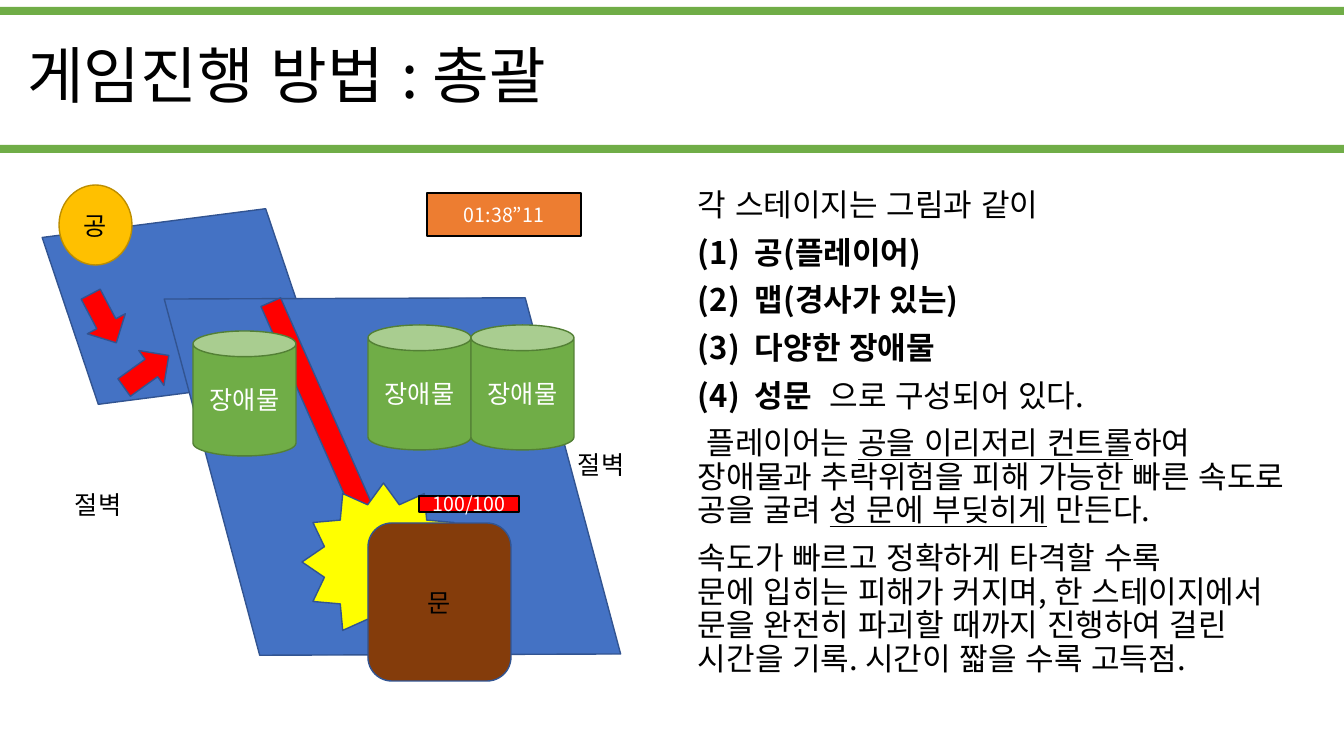
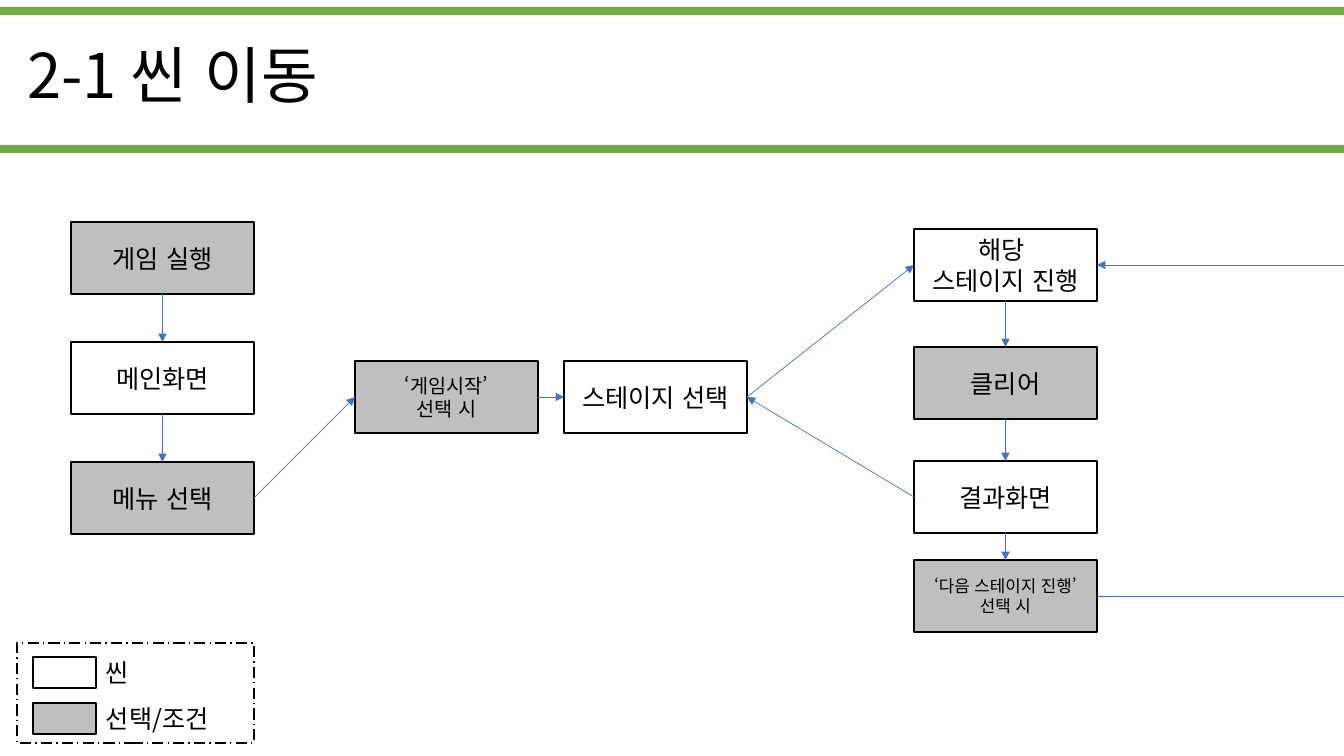
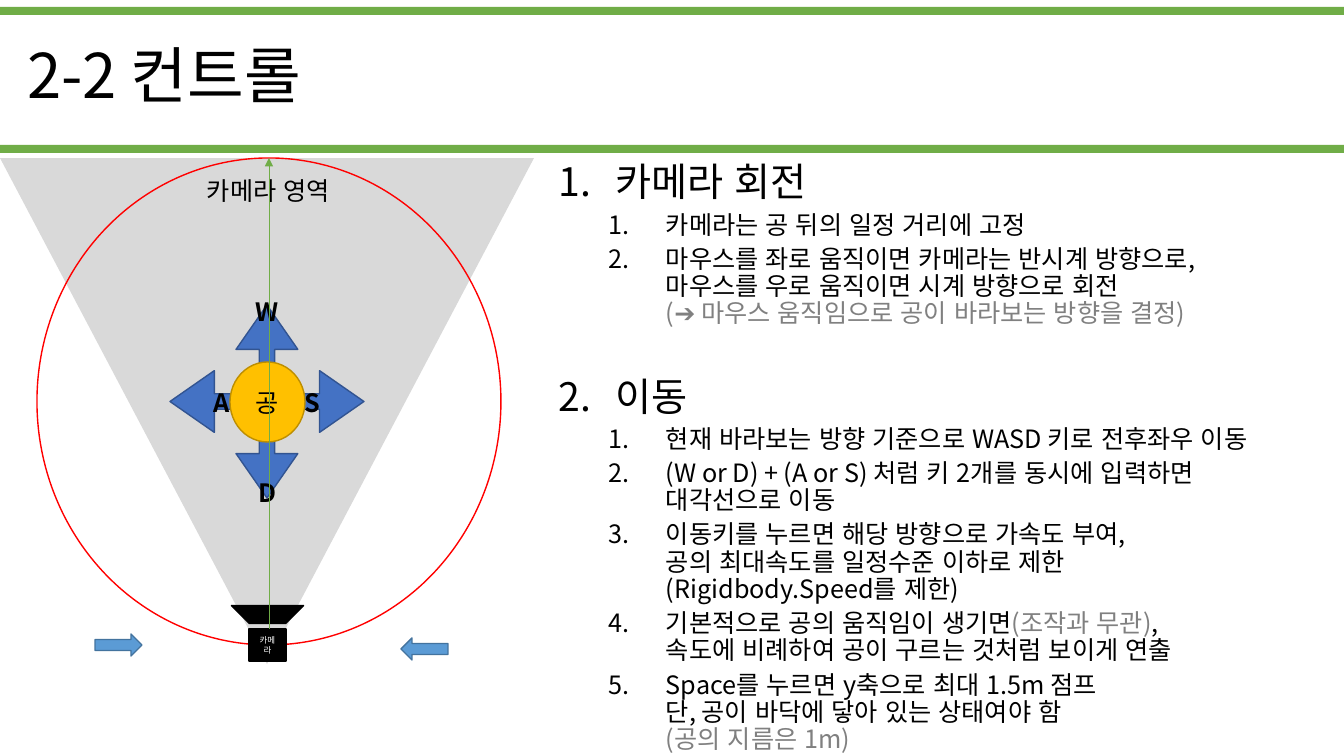
from copy import deepcopy

from lxml import etree
from pptx import Presentation
from pptx.dml.color import RGBColor
from pptx.enum.dml import MSO_LINE
from pptx.enum.lang import MSO_LANGUAGE_ID
from pptx.enum.shapes import MSO_CONNECTOR, MSO_SHAPE
from pptx.enum.text import MSO_ANCHOR, MSO_AUTO_SIZE, PP_ALIGN
from pptx.oxml.ns import qn
from pptx.util import Emu, Pt

PX = 12192000 / 1344
FONT = "Noto Sans CJK KR"
COLORS = {
    "ink": "000000", "white": "FFFFFF", "gray": "BFBFBF", "pale": "D9D9D9",
    "dim": "808080", "green": "70AD47", "moss": "538035", "blue": "4472C4",
    "navy": "325491", "gold": "FFC000", "ocher": "BD8E00", "red": "FF0000",
    "yellow": "FFFF00", "brown": "843C0B", "orange": "ED7D31",
    "sky": "5B9BD5", "steel": "43739E",
}
RECT, ROUND = MSO_SHAPE.RECTANGLE, MSO_SHAPE.ROUNDED_RECTANGLE
SLANT, BALL = MSO_SHAPE.FLOWCHART_DATA, MSO_SHAPE.FLOWCHART_CONNECTOR
RIGHT, LEFT = MSO_SHAPE.RIGHT_ARROW, MSO_SHAPE.LEFT_ARROW
QUAD, CAN, STAR = MSO_SHAPE.QUAD_ARROW, MSO_SHAPE.CAN, MSO_SHAPE.STAR_12_POINT
CONE, STRIPE = MSO_SHAPE.ISOSCELES_TRIANGLE, MSO_SHAPE.DIAGONAL_STRIPE
STRAIGHT = MSO_CONNECTOR.STRAIGHT
DASH = MSO_LINE.LONG_DASH_DOT
START, CENTER = PP_ALIGN.LEFT, PP_ALIGN.CENTER
TOP, MIDDLE = MSO_ANCHOR.TOP, MSO_ANCHOR.MIDDLE
FIXED = MSO_AUTO_SIZE.NONE
KOREAN = MSO_LANGUAGE_ID.KOREAN

PLAIN = {"level": 0, "left": 0, "num": None, "gap": 10, "size": 22.2}
LIST = PLAIN | {"left": 57, "num": "arabicParenBoth"}
HEAD = LIST | {"num": "arabicPeriod", "size": 28}
SUB = HEAD | {"level": 1, "left": 107, "gap": 5, "size": 18}


def px(size):
    """Turn px into EMU."""
    return Emu(round(size * PX))


def rgb(name):
    """Look up a colour by name."""
    return RGBColor.from_string(COLORS[name])


class Deck:
    """Hold the style and the current slide."""

    def __init__(self):
        """Start a deck of the shared size and layout."""
        self.prs = Presentation()
        self.prs.slide_width, self.prs.slide_height = px(1344), px(756)
        self.layout = self.prs.slide_layouts[5]
        self.slide = None

    def page(self, title):
        """Add a slide with its title; the first also sets the layout's bands."""
        first = self.slide is None
        self.slide = self.prs.slides.add_slide(self.layout)
        if first:
            for top in (7, 145):
                band = self.shape(RECT, (0, top, 1344, 8), "green")
                self.layout.shapes.element.append(band.element)
        head = self.slide.shapes.title
        head.left, head.top, head.width, head.height = map(px, (17, 6, 1307, 146))
        frame = head.text_frame
        frame.auto_size, frame.vertical_anchor = FIXED, MIDDLE
        line = frame.paragraphs[0]
        line.alignment, line.line_spacing = START, 0.9
        self.run(line, title, 44)

    def run(self, para, text, size, color="ink", bold=False, under=False):
        """Add a run, with a break at each new line."""
        for index, part in enumerate(text.split("\n")):
            if index:
                para.add_line_break()
            run = para.add_run()
            run.text = part
            font = run.font
            font.size, font.bold, font.underline = Pt(size), bold, under
            font.color.rgb, font.name = rgb(color), FONT
            font.language_id = KOREAN
            props = run._r.rPr
            etree.SubElement(props, qn("a:ea"), typeface=FONT)
            if index:
                run._r.getprevious().append(deepcopy(props))

    def shape(self, kind, box, fill=None, line=None, text="", size=18,
              color="ink", turn=0, weight=1):
        """Add a preset shape with centred text."""
        item = self.slide.shapes.add_shape(kind, *map(px, box))
        item.shadow.inherit = False
        item.rotation = turn
        if fill:
            item.fill.solid()
            item.fill.fore_color.rgb = rgb(fill)
        else:
            item.fill.background()
        if line:
            item.line.color.rgb = rgb(line)
            item.line.width = Pt(weight)
        else:
            item.line.fill.background()
        if text:
            item.text_frame.vertical_anchor = MIDDLE
            para = item.text_frame.paragraphs[0]
            para.alignment = CENTER
            self.run(para, text, size, color)
        return item

    def frame(self, box, anchor=TOP):
        """Add an empty text box that wraps."""
        frame = self.slide.shapes.add_textbox(*map(px, box)).text_frame
        frame.word_wrap, frame.vertical_anchor = True, anchor
        return frame

    def label(self, box, text, align=START, anchor=TOP, bold=False):
        """Add a short line of text."""
        para = self.frame(box, anchor).paragraphs[0]
        para.alignment = align
        self.run(para, text, 18, bold=bold)

    def body(self, box, items):
        """Add paragraphs, each a style and its runs."""
        frame = self.frame(box)
        for index, (style, *runs) in enumerate(items):
            para = frame.add_paragraph() if index else frame.paragraphs[0]
            para.level, para.line_spacing = style["level"], 0.9
            para.space_before = Pt(style["gap"])
            if style["num"]:
                props = para._p.get_or_add_pPr()
                props.set("marL", str(px(style["left"])))
                props.set("indent", str(px(-57)))
                etree.SubElement(props, qn("a:buFont"), typeface=FONT)
                etree.SubElement(props, qn("a:buAutoNum"), type=style["num"])
            for text, look in runs:
                self.run(para, text, style["size"], **look)

    def arrow(self, ends=(0, 0, 0, 0), color="blue", tail=None, head=None, tip=True):
        """Add a thin line between points or joined sides."""
        line = self.slide.shapes.add_connector(STRAIGHT, *map(px, ends))
        if tail:
            line.begin_connect(*tail)
        if head:
            line.end_connect(*head)
        line.line.color.rgb = rgb(color)
        line.line.width = Pt(0.5)
        props = line.element.spPr
        if tip:
            etree.SubElement(props.find(qn("a:ln")), qn("a:tailEnd"), type="triangle")
        etree.SubElement(props, qn("a:effectLst"))


def rules(deck):
    """Build the slide on how the game is played."""
    deck.page("게임진행 방법 : 총괄")
    deck.shape(SLANT, (72, 196, 220, 221), "blue", "navy", turn=251.4)
    deck.shape(BALL, (59, 185, 73, 80), "gold", "ocher", "공")
    deck.shape(SLANT, (162, 302, 461, 349), "blue", "navy", turn=255)
    for box, turn in (((76, 297, 55, 43), 62.2), ((119, 350, 55, 43), 324.3),
                      ((197, 394, 248, 43), 66.1)):
        deck.shape(RIGHT, box, "red", "navy", turn=turn)
    deck.shape(STAR, (302, 483, 163, 158), "yellow", "navy")
    for left, top in ((193, 331), (368, 325), (471, 325)):
        deck.shape(CAN, (left, top, 103, 125), "green", "moss", "장애물", color="white")
    deck.shape(ROUND, (368, 523, 143, 158), "brown", "navy", "문")
    mark, bold = {"under": True}, {"bold": True}
    deck.body((688, 185, 615, 544), [
        (PLAIN, ("각 스테이지는 그림과 같이", {})),
        (LIST, ("공(플레이어)", bold)),
        (LIST, ("맵(경사가 있는)", bold)),
        (LIST, ("다양한 장애물", bold)),
        (LIST, ("성문  ", bold), ("으로 구성되어 있다.", {})),
        (PLAIN, (" 플레이어는 ", {}), ("공을 이리저리 컨트롤", mark),
         ("하여 \n장애물과 추락위험을 피해 가능한 빠른 속도로 공을 굴려 ", {}),
         ("성 문에 부딪히게", mark), (" 만든다.", {})),
        (PLAIN, ("속도가 빠르고 정확하게 타격할 수록 \n문에 입히는 피해가 커지며, "
                 "한 스테이지에서 문을 완전히 파괴할 때까지 진행하여 걸린 "
                 "시간을 기록. 시간이 짧을 수록 고득점.", {})),
    ])
    for left, top in ((65, 484), (568, 444)):
        deck.label((left, top, 156, 40), "절벽")
    deck.shape(RECT, (427, 193, 154, 43), "orange", "ink", "01:38”11", 14, "white")
    deck.shape(RECT, (419, 496, 100, 16), "red", "ink", "100/100", 14, "white")


def scenes(deck):
    """Build the flow chart of scenes."""
    deck.page("2-1 씬 이동")

    def step(left, top, fill, text, size=18):
        """Add one box of the flow."""
        box = deck.shape(RECT, (left, top, 183, 72), fill, "ink", text, size, weight=1.5)
        box.text_frame.margin_left = box.text_frame.margin_right = px(4)
        return box

    run, main, menu = (
        step(71, 222 + 120 * row, fill, text) for row, (fill, text) in enumerate(
            (("gray", "게임 실행"), ("white", "메인화면"), ("gray", "메뉴 선택"))))
    begin = step(355, 361, "gray", "‘게임시작’\n선택 시", 14)
    pick = step(564, 361, "white", "스테이지 선택")
    stage = step(914, 229, "white", "해당 \n스테이지 진행")
    clear = step(914, 347, "gray", "클리어")
    score = step(914, 461, "white", "결과화면")
    again = step(914, 560, "gray", "‘다음 스테이지 진행’\n선택 시", 12)
    for tail, head in ((run, main), (main, menu), (stage, clear),
                       (clear, score), (score, again)):
        deck.arrow(tail=(tail, 2), head=(head, 0))
    for tail, head in ((menu, begin), (begin, pick), (pick, stage)):
        deck.arrow(tail=(tail, 3), head=(head, 1))
    deck.arrow(tail=(score, 1), head=(pick, 3))
    deck.arrow((1097, 596, 1344, 596), tail=(again, 3), tip=False)
    deck.arrow((1344, 265, 1097, 265), head=(stage, 3))

    for top, fill, text in ((657, "white", "씬"), (703, "gray", "선택/조건")):
        deck.shape(RECT, (33, top, 63, 31), fill, "ink", weight=1.5)
        deck.label((96, top - 5, 150, 40), text)
    deck.shape(RECT, (17, 643, 237, 100), line="ink").line.dash_style = DASH


def control(deck):
    """Build the slide on camera and movement."""
    deck.page("2-2 컨트롤")
    deck.shape(CONE, (0, 158, 534, 506), "pale", turn=180)
    dim = {"color": "dim"}
    deck.body((549, 158, 776, 598), [
        (HEAD, ("카메라 회전", {})),
        (SUB, ("카메라는 공 뒤의 일정 거리에 고정", {})),
        (SUB, ("마우스를 좌로 움직이면 카메라는 반시계 방향으로, \n"
               "마우스를 우로 움직이면 시계 방향으로 회전 ", {}),
         ("\n(➔ 마우스 움직임으로 공이 바라보는 방향을 결정)", dim)),
        (HEAD | {"gap": 35}, ("이동", {})),
        (SUB, ("현재 바라보는 방향 기준으로 WASD 키로 전후좌우 이동", {})),
        (SUB, ("(W or D) + (A or S) 처럼 키 2개를 동시에 입력하면 대각선으로 이동", {})),
        (SUB, ("이동키를 누르면 해당 방향으로 가속도 부여,\n"
               "공의 최대속도를 일정수준 이하로 제한\n(Rigidbody.Speed를 제한)", {})),
        (SUB, ("기본적으로 공의 움직임이 생기면", {}), ("(조작과 무관)", dim),
         (",\n속도에 비례하여 공이 구르는 것처럼 보이게 연출", {})),
        (SUB, ("Space를 누르면 y축으로 최대 1.5m 점프\n"
               "단, 공이 바닥에 닿아 있는 상태여야 함", {}),
         ("\n(공의 지름은 1m)", dim)),
    ])
    quad = deck.shape(QUAD, (170, 305, 194, 193), "blue", "navy")
    for index, ratio in enumerate((0.08, 0.16, 0.23)):
        quad.adjustments[index] = ratio
    for key, x, y in (("W", 267, 311), ("A", 222, 402), ("S", 312, 402), ("D", 268, 492)):
        deck.label((x - 25, y - 20, 50, 40), key, CENTER, MIDDLE, True)
    deck.shape(BALL, (230, 362, 75, 80), "gold", "ocher", "공")
    deck.shape(BALL, (37, 158, 464, 487), line="red")
    deck.label((187, 170, 163, 40), "카메라 영역", CENTER, MIDDLE)
    deck.shape(STRIPE, (242, 580, 51, 51), "ink", "ink", turn=225)
    deck.shape(RECT, (249, 629, 37, 32), "ink", "ink", "카메라", 6, "white")
    deck.arrow((269, 629, 269, 158), "green")
    for left, top, turn in ((401, 638, 0), (95, 634, 180)):
        deck.shape(LEFT, (left, top, 47, 22), "sky", "steel", turn=turn)


def main():
    """Build and save the deck."""
    deck = Deck()
    for build in (rules, scenes, control):
        build(deck)
    deck.prs.save("out.pptx")


if __name__ == "__main__":
    main()
